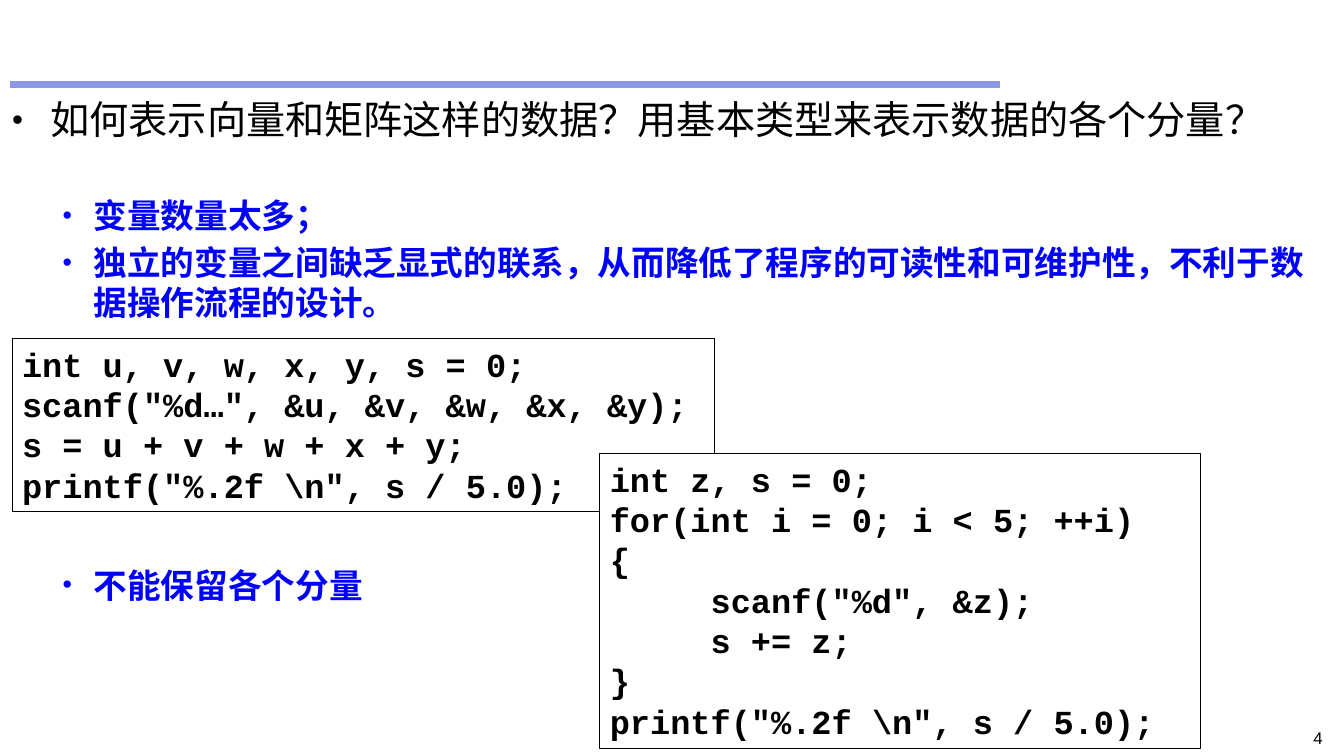
from typing import NamedTuple, Optional

from lxml.etree import SubElement
from pptx import Presentation
from pptx.dml.color import RGBColor
from pptx.enum.shapes import MSO_CONNECTOR as Connector, MSO_SHAPE as Preset
from pptx.enum.text import MSO_ANCHOR as Anchor, MSO_AUTO_SIZE as AutoSize, PP_ALIGN as Align
from pptx.oxml.ns import qn
from pptx.util import Emu, Inches, Pt

WIDTH, HEIGHT = Inches(13.33), Inches(7.5)
CHINESE, LATIN, MONO = "Noto Sans CJK SC", "Arial", "Courier New"
BLACK, WHITE, BLUE, LAVENDER = "000000", "FFFFFF", "0000FF", "8D97E5"


class Area(NamedTuple):
    """A rectangle in hundredths of the slide's width and height."""
    left: float
    top: float
    width: float
    height: float


class Point(NamedTuple):
    """A bullet point: wording, level and space before in points."""
    text: str
    level: int
    before: float


class Listing(NamedTuple):
    """A framed piece of code."""
    area: Area
    fill: Optional[str]
    lines: list[str]


POINTS = [
    Point("如何表示向量和矩阵这样的数据？用基本类型来表示数据的各个分量？", 0, 0),
    Point("变量数量太多；", 1, 37),
    Point("独立的变量之间缺乏显式的联系，从而降低了程序的可读性和可维护性，不利于数据操作流程的设计。", 1, 4.8),
    Point("不能保留各个分量", 1, 173),
]
LISTINGS = [
    Listing(Area(0.9, 44.8, 52.28, 22.93), None, [
        "int u, v, w, x, y, s = 0;",
        'scanf("%d…", &u, &v, &w, &x, &y);',
        "s = u + v + w + x + y;",
        r'printf("%.2f \n", s / 5.0);',
    ]),
    Listing(Area(44.63, 60, 44.7, 39.07), WHITE, [
        "int z, s = 0;",
        "for(int i = 0; i < 5; ++i)",
        "{",
        '\tscanf("%d", &z);',
        "\ts += z;",
        "}",
        r'printf("%.2f \n", s / 5.0);',
    ]),
]


def color(code: str) -> RGBColor:
    """Turn a hex string into a colour."""
    return RGBColor.from_string(code)


def across(share: float) -> Emu:
    """Length of a share of the slide's width."""
    return Emu(round(WIDTH * share / 100))


def down(share: float) -> Emu:
    """Length of a share of the slide's height."""
    return Emu(round(HEIGHT * share / 100))


def place(area: Area) -> tuple[Emu, Emu, Emu, Emu]:
    """Turn an area into left, top, width and height."""
    return across(area.left), down(area.top), across(area.width), down(area.height)


def write(paragraph, text: str, *, size: float, font: str, ink: str = BLACK,
          bold: bool = False, align: Align = Align.LEFT, before: float = 0) -> None:
    """Write one formatted run into a paragraph."""
    paragraph.alignment = align
    paragraph.space_before = Pt(before)
    run = paragraph.add_run()
    run.text = text
    run.font.size, run.font.bold, run.font.name = Pt(size), bold, font
    run.font.color.rgb = color(ink)
    SubElement(run._r.get_or_add_rPr(), qn("a:ea")).set("typeface", font)


def next_paragraph(frame, index: int):
    """Return the first paragraph of a frame or add another."""
    return frame.add_paragraph() if index else frame.paragraphs[0]


def add_bullet(paragraph, margin: float, hanging: float) -> None:
    """Give a paragraph a hanging bullet."""
    properties = paragraph._p.get_or_add_pPr()
    properties.set("marL", str(Inches(margin)))
    properties.set("indent", str(-Inches(hanging)))
    SubElement(properties, qn("a:buSzPct")).set("val", "80000")
    SubElement(properties, qn("a:buFont")).set("typeface", LATIN)
    SubElement(properties, qn("a:buChar")).set("char", "•")


def add_tab(paragraph, position: float) -> None:
    """Give a paragraph a left tab stop."""
    tabs = SubElement(paragraph._p.get_or_add_pPr(), qn("a:tabLst"))
    stop = SubElement(tabs, qn("a:tab"))
    stop.set("pos", str(Inches(position)))
    stop.set("algn", "l")


def draw_rule(slide) -> None:
    """Draw the rule above the text."""
    rule = slide.shapes.add_connector(
        Connector.STRAIGHT, across(0.75), down(11.2), across(74.4), down(11.2))
    rule.line.color.rgb, rule.line.width = color(LAVENDER), Pt(4.5)
    SubElement(rule._element.spPr, qn("a:effectLst"))


def fill_body(body, points: list[Point]) -> None:
    """Place the body and write its bullet points."""
    body.left, body.top, body.width, body.height = place(Area(0.75, 12.53, 98.4, 86.8))
    frame = body.text_frame
    frame.auto_size, frame.vertical_anchor = AutoSize.NONE, Anchor.TOP
    frame.margin_left = frame.margin_right = Inches(0.02)
    frame.margin_top = frame.margin_bottom = Inches(0.01)
    for index, point in enumerate(points):
        paragraph = next_paragraph(frame, index)
        paragraph.level = point.level
        if point.level:
            add_bullet(paragraph, 0.81, 0.31)
            write(paragraph, point.text, size=24, font=CHINESE, ink=BLUE, bold=True,
                  before=point.before)
        else:
            add_bullet(paragraph, 0.38, 0.38)
            write(paragraph, point.text, size=28, font=CHINESE)


def draw_listing(slide, listing: Listing) -> None:
    """Draw a frame with lines of code."""
    box = slide.shapes.add_shape(Preset.RECTANGLE, *place(listing.area))
    box.shadow.inherit = False
    box.line.color.rgb, box.line.width = color(BLACK), Pt(0.75)
    if listing.fill:
        box.fill.solid()
        box.fill.fore_color.rgb = color(listing.fill)
    else:
        box.fill.background()
    frame = box.text_frame
    frame.word_wrap, frame.vertical_anchor = True, Anchor.TOP
    for index, line in enumerate(listing.lines):
        paragraph = next_paragraph(frame, index)
        if line.startswith("\t"):
            add_tab(paragraph, 1)
        write(paragraph, line, size=24, font=MONO, bold=True)


def draw_page_number(slide, number: str) -> None:
    """Write the page number in the lower right corner."""
    frame = slide.shapes.add_textbox(*place(Area(89.32, 95.6, 9.83, 3.33))).text_frame
    frame.word_wrap = True
    write(frame.paragraphs[0], number, size=12, font=LATIN, align=Align.RIGHT)


def main() -> None:
    """Build the slide and save it."""
    deck = Presentation()
    deck.slide_width, deck.slide_height = WIDTH, HEIGHT
    slide = deck.slides.add_slide(deck.slide_layouts[1])
    heading = slide.shapes.title._element
    heading.getparent().remove(heading)
    draw_rule(slide)
    fill_body(slide.placeholders[1], POINTS)
    draw_page_number(slide, "4")
    for listing in LISTINGS:
        draw_listing(slide, listing)
    deck.save("out.pptx")


if __name__ == "__main__":
    main()
